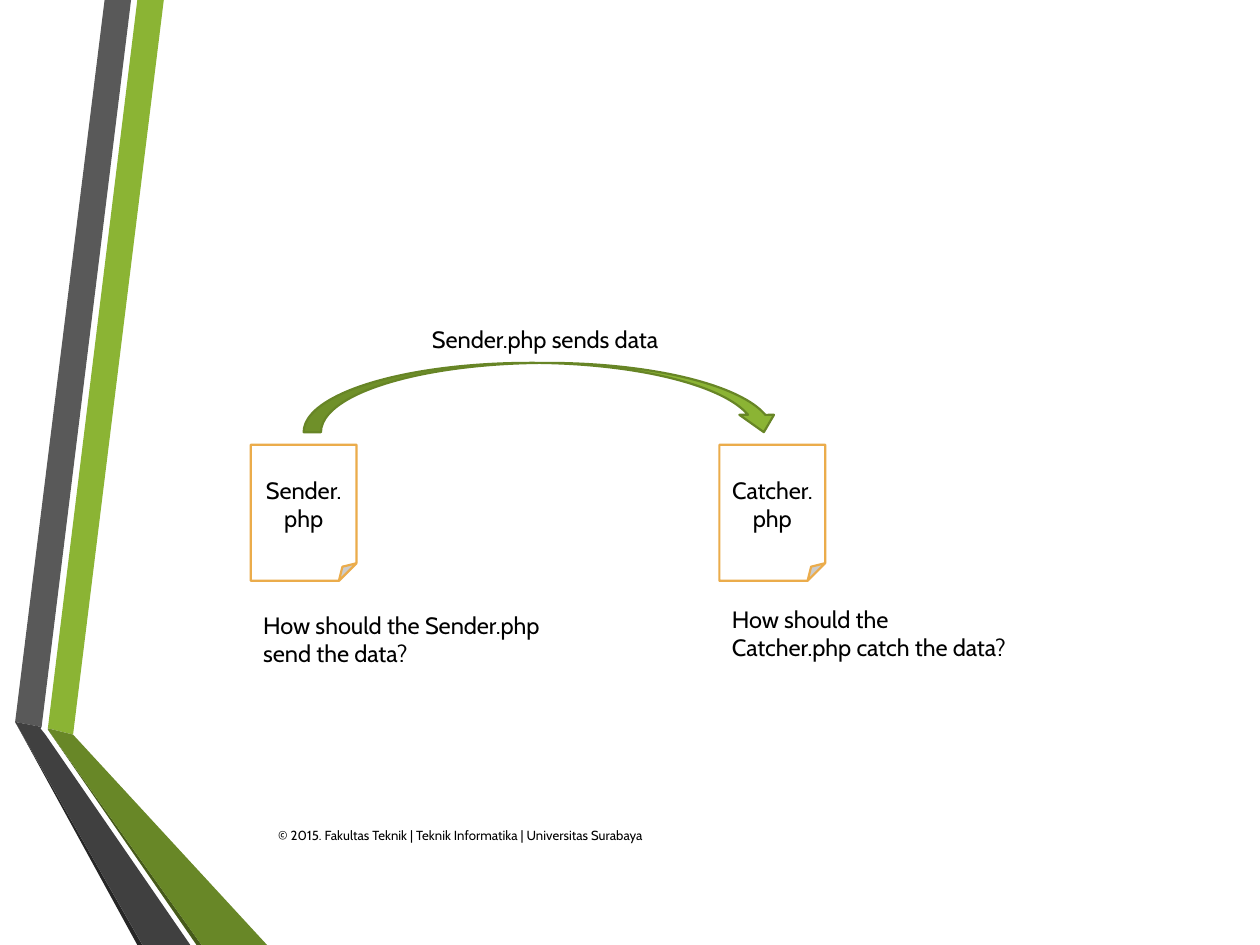
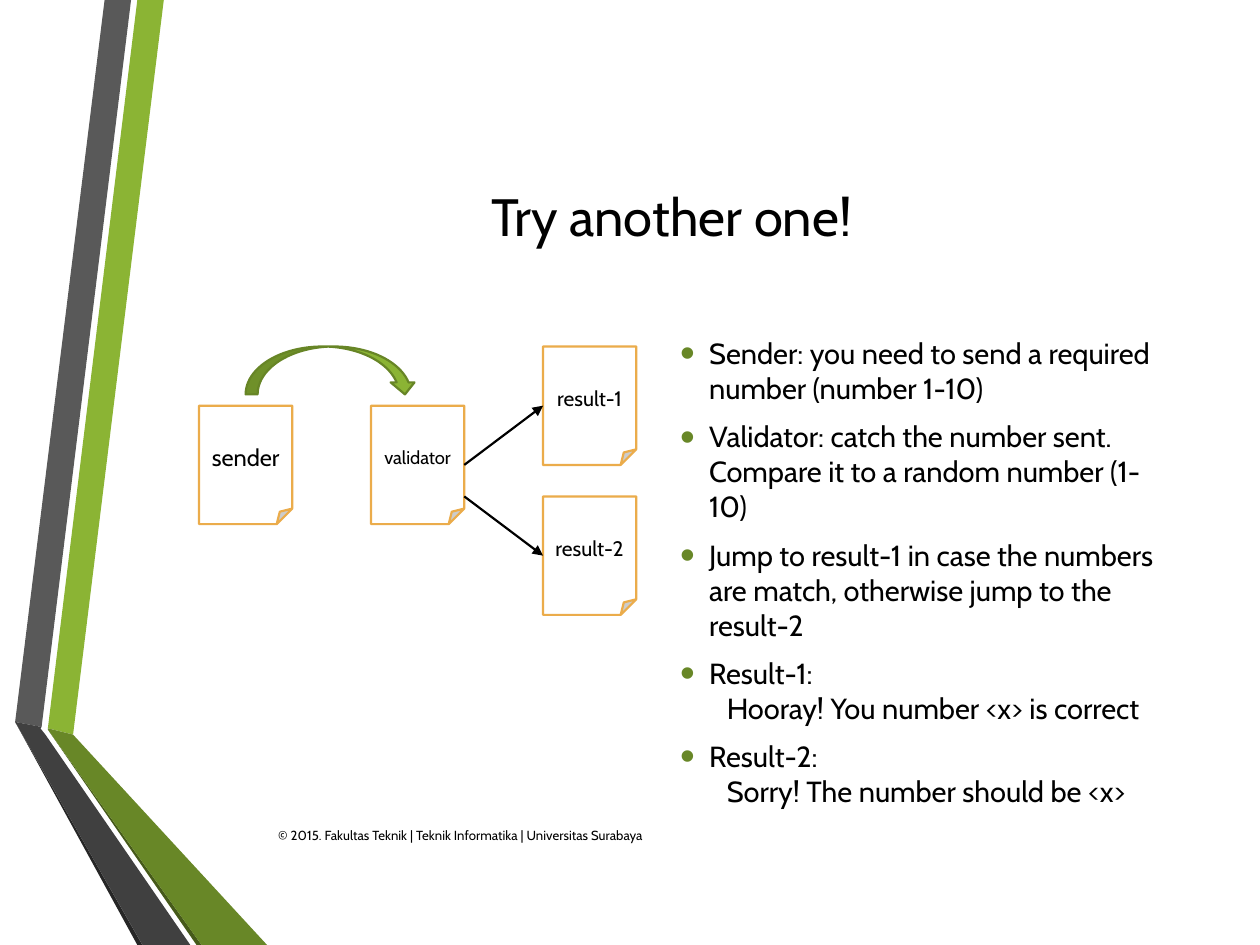
from lxml.etree import SubElement
from pptx import Presentation
from pptx.dml.color import RGBColor
from pptx.enum.shapes import MSO_CONNECTOR, MSO_SHAPE
from pptx.enum.text import MSO_ANCHOR, PP_ALIGN
from pptx.oxml.ns import qn
from pptx.util import Inches, Pt

BLACK = RGBColor(0x00, 0x00, 0x00)
WHITE = RGBColor(0xFF, 0xFF, 0xFF)
GREEN = RGBColor(0x8B, 0xB4, 0x34)
DARK_GREEN = RGBColor(0x68, 0x87, 0x27)
DEEP_GREEN = RGBColor(0x46, 0x5A, 0x1A)
ARROW_EDGE = RGBColor(0x67, 0x85, 0x26)
GREY = RGBColor(0x59, 0x59, 0x59)
DARK_GREY = RGBColor(0x40, 0x40, 0x40)
DEEP_GREY = RGBColor(0x26, 0x26, 0x26)
ORANGE = RGBColor(0xEB, 0xAC, 0x4B)

FONT = "Cabin"
LINE_WIDTH = Pt(1.25)
FOOTER = "© 2015. Fakultas Teknik | Teknik Informatika | Universitas Surabaya"
BANDS = [
    (GREEN, [(0.38, 5.78), (0.58, 5.83), (1.3, 0), (1.09, 0)]),
    (GREY, [(1.04, 0), (0.83, 0), (0.12, 5.73), (0.33, 5.77)]),
    (DEEP_GREY, [(0.12, 5.73), (1.09, 7.5), (1.13, 7.5)]),
    (DEEP_GREEN, [(0.38, 5.79), (1.56, 7.5), (1.6, 7.5)]),
    (DARK_GREEN, [(0.38, 5.79), (1.6, 7.5), (2.12, 7.5), (0.58, 5.83), (0.38, 5.78)]),
    (DARK_GREY, [(1.51, 7.5), (0.36, 5.83), (0.32, 5.78), (0.33, 5.77),
                 (0.12, 5.73), (1.13, 7.5)]),
]
TASKS = [
    ("Sender: you need to send a required number (number 1-10)", None),
    ("Validator: catch the number sent. Compare it to a random number (1-10)", None),
    ("Jump to result-1 in case the numbers are match, "
     "otherwise jump to the result-2", None),
    ("Result-1:", "Hooray! You number <x> is correct"),
    ("Result-2:", "Sorry! The number should be <x>"),
]


def apply_format(target, **values):
    """Set each named attribute on the target."""
    for name, value in values.items():
        setattr(target, name, value)


def write(p, text, size):
    """Add one black run in the deck font to a paragraph."""
    r = p.add_run()
    r.text = text
    apply_format(r.font, name=FONT, size=Pt(size))
    r.font.color.rgb = BLACK


def paint(sp, fill, line=None):
    """Give a shape a flat fill, an optional outline and no shadow."""
    sp.shadow.inherit = False
    sp.fill.solid()
    sp.fill.fore_color.rgb = fill
    if line is None:
        sp.line.fill.background()
    else:
        sp.line.color.rgb = line
        sp.line.width = LINE_WIDTH


def add_text(s, box, text, size, anchor=MSO_ANCHOR.TOP):
    """Place a wrapping text box with one paragraph."""
    tf = s.shapes.add_textbox(*map(Inches, box)).text_frame
    apply_format(tf, word_wrap=True, vertical_anchor=anchor)
    write(tf.paragraphs[0], text, size)


def add_frame(s):
    """Draw the folded side bands and the footer."""
    for color, points in BANDS:
        start, *rest = [(Inches(x), Inches(y)) for x, y in points]
        builder = s.shapes.build_freeform(*start)
        builder.add_line_segments(rest, close=True)
        paint(builder.convert_to_shape(), color)
    add_text(s, (2.11, 6.43, 5.81, 0.4), FOOTER, 7.5, MSO_ANCHOR.MIDDLE)


def add_page(s, box, name, size):
    """Draw a folded page with its file name."""
    sp = s.shapes.add_shape(MSO_SHAPE.FOLDED_CORNER, *map(Inches, box))
    paint(sp, WHITE, ORANGE)
    tf = sp.text_frame
    apply_format(tf, word_wrap=True, vertical_anchor=MSO_ANCHOR.MIDDLE,
                 margin_left=Inches(0.08), margin_right=Inches(0.08))
    tf.paragraphs[0].alignment = PP_ALIGN.CENTER
    write(tf.paragraphs[0], name, size)
    return sp


def add_arc(s, box):
    """Draw the curved arrow that carries the data."""
    sp = s.shapes.add_shape(MSO_SHAPE.CURVED_DOWN_ARROW, *map(Inches, box))
    paint(sp, GREEN, ARROW_EDGE)


def add_arrow(s, start, end):
    """Draw a straight black arrow and return it."""
    line = s.shapes.add_connector(
        MSO_CONNECTOR.STRAIGHT, *map(Inches, start + end))
    line.line.color.rgb = BLACK
    line.line.width = LINE_WIDTH
    SubElement(line.line._get_or_add_ln(), qn("a:tailEnd"), type="triangle")
    SubElement(line._element.spPr, qn("a:effectLst"))
    return line


def add_bullet(p):
    """Give a paragraph a large green bullet."""
    pPr = p._p.get_or_add_pPr()
    color = SubElement(pPr, qn("a:buClr"))
    SubElement(color, qn("a:srgbClr"), val=str(DARK_GREEN))
    SubElement(pPr, qn("a:buSzPct"), val="145000")
    SubElement(pPr, qn("a:buFont"), typeface="Arial")
    SubElement(pPr, qn("a:buChar"), char="•")


def add_task_line(p, text, indent, hanging, before, after):
    """Format one line of the task list."""
    apply_format(p, space_before=Pt(before), space_after=Pt(after))
    pPr = p._p.get_or_add_pPr()
    pPr.set("marL", str(Inches(indent)))
    pPr.set("indent", str(-Inches(hanging)))
    if hanging:
        add_bullet(p)
    write(p, text, 16.6)


def add_tasks(s, box):
    """List the tasks, with any message indented below its bullet."""
    tf = s.shapes.add_textbox(*map(Inches, box)).text_frame
    apply_format(tf, word_wrap=True, vertical_anchor=MSO_ANCHOR.MIDDLE)
    p = tf.paragraphs[0]
    for i, (task, message) in enumerate(TASKS):
        if i:
            p = tf.add_paragraph()
        add_task_line(p, task, 0.23, 0.23, 3.3, 0 if message else 4.5)
        if message:
            add_task_line(tf.add_paragraph(), message, 0.37, 0, 0, 4.5)


def add_title(s, box, text):
    """Move and format the title placeholder."""
    sp = s.shapes.title
    apply_format(sp, **dict(zip(("left", "top", "width", "height"), map(Inches, box))))
    tf = sp.text_frame
    tf.vertical_anchor = MSO_ANCHOR.MIDDLE
    tf.paragraphs[0].alignment = PP_ALIGN.CENTER
    write(tf.paragraphs[0], text, 30)


def add_exchange(s, left, top):
    """Draw the sender, the catcher and their questions."""
    gap = 3.72
    pages = [("Sender.php", "How should the Sender.php send the data?", 2.27),
             ("Catcher.php", "How should the Catcher.php catch the data?", 2.22)]
    for i, (name, question, drop) in enumerate(pages):
        x = left + i * gap
        add_page(s, (x, top + 1, 0.84, 1.08), name, 13.5)
        add_text(s, (x, top + drop, 2.41, 0.56), question, 13.5)
    add_arc(s, (left + 0.42, top + 0.35, 3.79, 0.55))
    add_text(s, (left + 1.34, top, 2.13, 0.33), "Sender.php sends data", 13.5)


def add_flow(s, left, top):
    """Draw the sender, the validator and its two results."""
    w, h, step = 0.74, 0.94, 1.365
    middle, results_x = top + 0.47, left + 2 * step
    add_page(s, (left, middle, w, h), "sender", 13.5)
    validator = add_page(s, (left + step, middle, w, h), "validator", 10.5)
    for i, exit_y in enumerate((middle + h / 2, middle + 0.72)):
        y = top + i * 1.19
        result = add_page(s, (results_x, y, w, h), f"result-{i + 1}", 12)
        arrow = add_arrow(s, (left + step + w, exit_y), (results_x, y + h / 2))
        if i == 0:
            arrow.begin_connect(validator, 3)
        arrow.end_connect(result, 1)
    add_arc(s, (left + w / 2, top, 1.36, 0.38))


def main():
    """Build both slides and save the deck."""
    prs = Presentation()
    prs.slide_width, prs.slide_height = Inches(10), Inches(7.5)
    s = prs.slides.add_slide(prs.slide_layouts[6])
    add_frame(s)
    add_exchange(s, 1.99, 2.53)
    s = prs.slides.add_slide(prs.slide_layouts[5])
    add_frame(s)
    add_title(s, (1.22, 0.75, 8.22, 1.92), "Try another one!")
    add_tasks(s, (5.3, 2.75, 4.14, 3.58))
    add_flow(s, 1.58, 2.75)
    prs.save("out.pptx")


if __name__ == "__main__":
    main()
